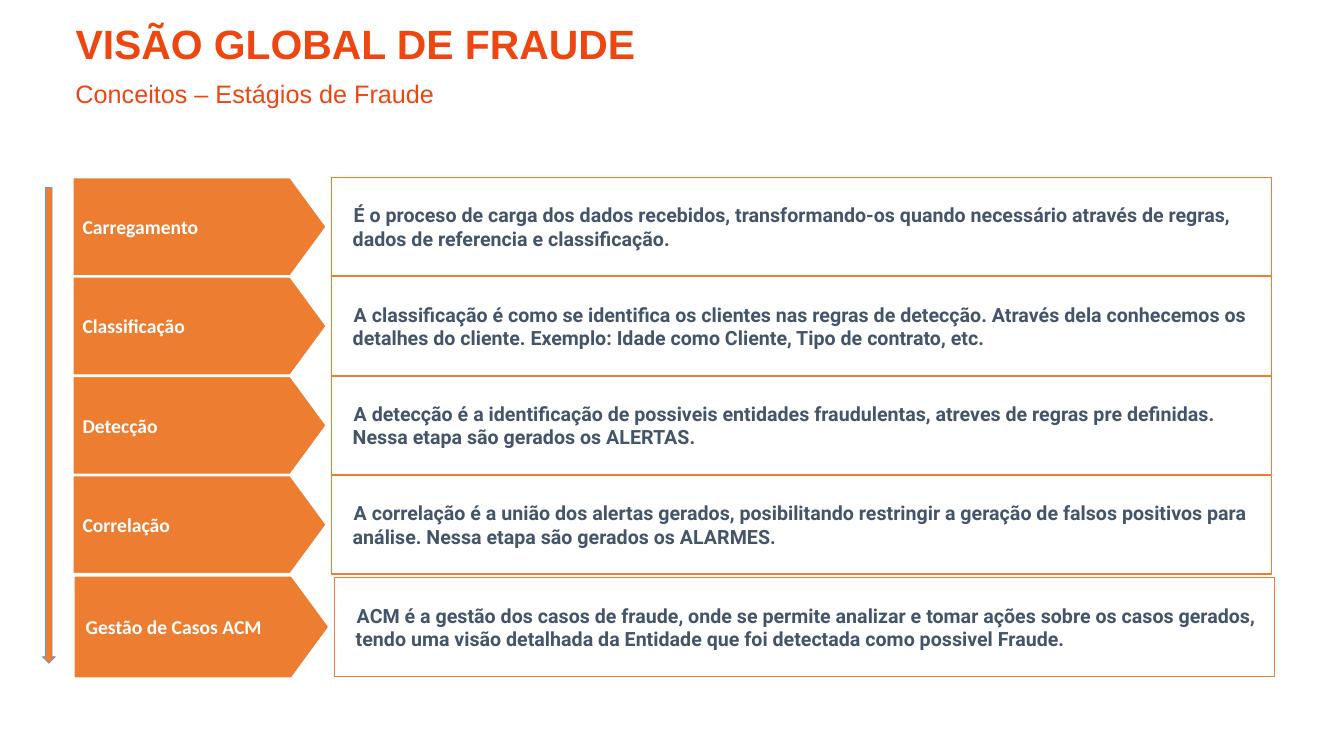
from pptx import Presentation
from pptx.dml.color import RGBColor
from pptx.enum.shapes import MSO_SHAPE
from pptx.enum.text import MSO_ANCHOR, MSO_AUTO_SIZE, PP_ALIGN
from pptx.util import Inches, Pt

TITLE = "VISÃO GLOBAL DE FRAUDE"
SUBTITLE = "Conceitos – Estágios de Fraude"
STAGES = [
    ("Carregamento",
     "É o proceso de carga dos dados recebidos, transformando-os quando necessário "
     "através de regras, dados de referencia e classificação."),
    ("Classificação",
     "A classificação é como se identifica os clientes nas regras de detecção. Através "
     "dela conhecemos os detalhes do cliente. Exemplo: Idade como Cliente, Tipo de "
     "contrato, etc."),
    ("Detecção",
     "A detecção é a identificação de possiveis entidades fraudulentas, atreves de regras "
     "pre definidas. Nessa etapa são gerados os ALERTAS."),
    ("Correlação",
     "A correlação é a união dos alertas gerados, posibilitando restringir a geração de "
     "falsos positivos para análise. Nessa etapa são gerados os ALARMES."),
    ("Gestão de Casos ACM",
     "ACM é a gestão dos casos de fraude, onde se permite analizar e tomar ações sobre os "
     "casos gerados, tendo uma visão detalhada da Entidade que foi detectada como possivel "
     "Fraude."),
]

RED, ORANGE, BLUE, SLATE, WHITE = "EE4611", "ED7D31", "5B9BD5", "44546A", "FFFFFF"
TOP, PITCH, HEIGHT = 1.76, 0.985, 0.98
LABEL_LEFT, LABEL_RIGHT = 0.72, 3.24
DETAIL_LEFT, DETAIL_WIDTH = 3.29, 9.32
LAST_SHIFT = 0.03


def color(hex_text):
    return RGBColor.from_string(hex_text)


def write(box, text, font, size, ink, bold=False, anchor=MSO_ANCHOR.MIDDLE,
          spacing=None, margin=0, indent=0):
    frame = box.text_frame
    frame.word_wrap = True
    frame.auto_size = MSO_AUTO_SIZE.NONE
    frame.vertical_anchor = anchor
    para = frame.paragraphs[0]
    para.alignment = PP_ALIGN.LEFT
    if spacing:
        para.line_spacing = spacing
    if margin:
        properties = para._p.get_or_add_pPr()
        properties.set("marL", str(Inches(margin)))
        properties.set("indent", str(Inches(indent)))
    span = para.add_run()
    span.text = text
    span.font.name = font
    span.font.size = Pt(size)
    span.font.bold = bold
    span.font.color.rgb = color(ink)


def add_block(page, kind, left, top, width, height, fill, line, line_width):
    block = page.shapes.add_shape(kind, Inches(left), Inches(top), Inches(width), Inches(height))
    block.shadow.inherit = False
    block.fill.solid()
    block.fill.fore_color.rgb = color(fill)
    block.line.color.rgb = color(line)
    block.line.width = Pt(line_width)
    return block


def add_stage(page, index, label, detail):
    is_last = index == len(STAGES) - 1
    shift = LAST_SHIFT if is_last else 0
    top = TOP + index * PITCH + shift
    box = add_block(page, MSO_SHAPE.RECTANGLE, DETAIL_LEFT + shift, top,
                    DETAIL_WIDTH, HEIGHT, WHITE, ORANGE, 1)
    write(box, detail, "Roboto", 14, SLATE, bold=True, margin=0.11, indent=0.01)
    left = LABEL_LEFT + shift
    tag = add_block(page, MSO_SHAPE.PENTAGON, left, top, LABEL_RIGHT - left, HEIGHT,
                    ORANGE, ORANGE if is_last else WHITE, 1.5)
    tag.adjustments[0] = 0.367
    write(tag, label, "Calibri", 14, WHITE, bold=True)


def main():
    deck = Presentation()
    deck.slide_width, deck.slide_height = Inches(13.33), Inches(7.5)
    page = deck.slides.add_slide(deck.slide_layouts[5])

    title = page.shapes.title
    title.left, title.top = Inches(0.65), Inches(0.19)
    title.width, title.height = Inches(11.78), Inches(0.5)
    write(title, TITLE, "Arial", 29.2, RED, bold=True, anchor=MSO_ANCHOR.TOP, spacing=0.9)
    subtitle = page.shapes.add_textbox(Inches(0.65), Inches(0.7), Inches(11.79), Inches(0.45))
    write(subtitle, SUBTITLE, "Arial", 18, RED)

    for index, (label, detail) in enumerate(STAGES):
        add_stage(page, index, label, detail)
    add_block(page, MSO_SHAPE.DOWN_ARROW, 0.42, 1.86, 0.13, 4.72, ORANGE, BLUE, 0.5)
    deck.save("out.pptx")


if __name__ == "__main__":
    main()
